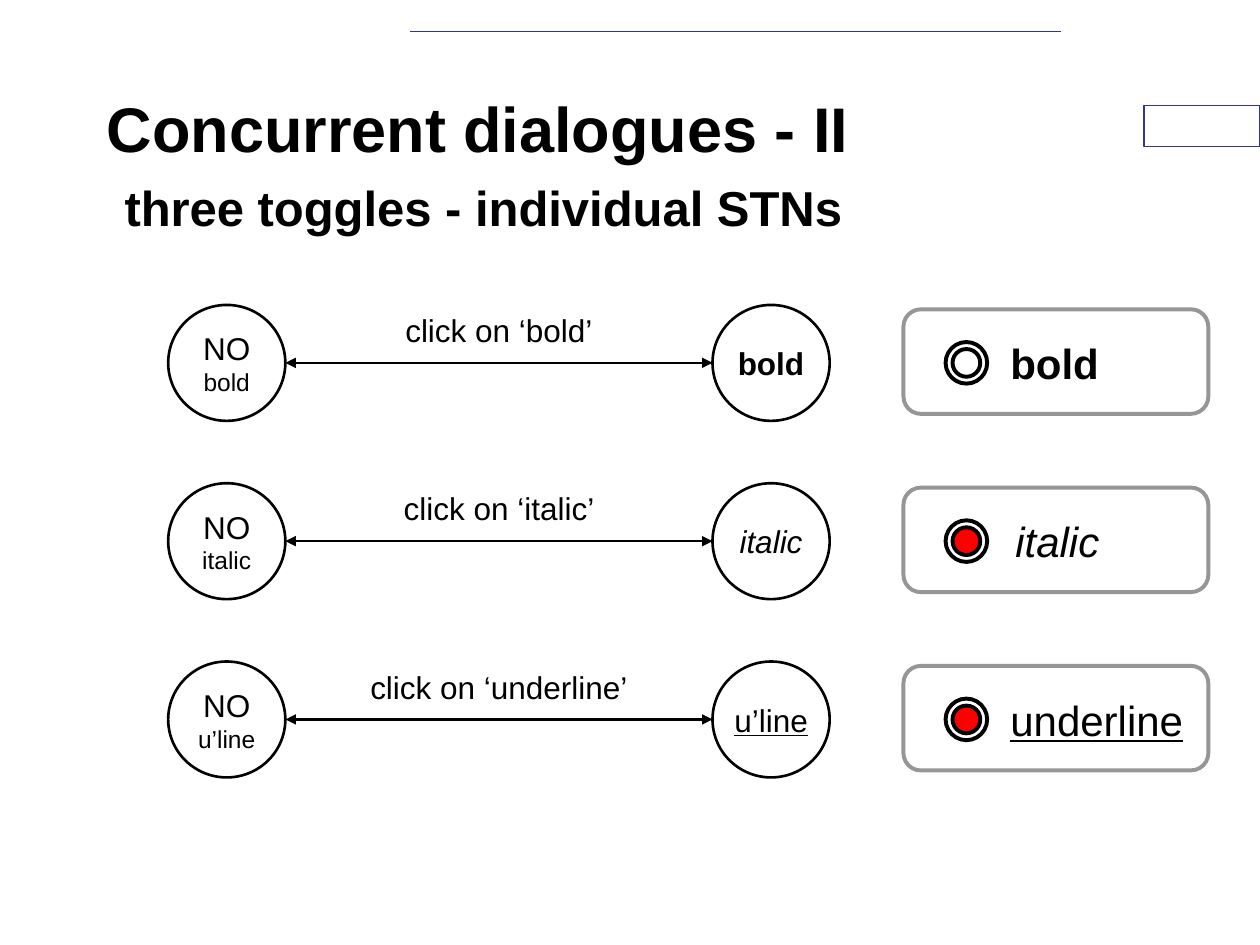
from dataclasses import dataclass

from lxml.etree import SubElement
from pptx import Presentation
from pptx.dml.color import RGBColor
from pptx.enum.shapes import MSO_CONNECTOR, MSO_SHAPE
from pptx.enum.text import MSO_ANCHOR, PP_ALIGN
from pptx.oxml.ns import qn
from pptx.util import Inches, Pt


@dataclass(frozen=True)
class Theme:
    font: str = "Arial"
    ink: str = "000000"
    paper: str = "FFFFFF"
    accent: str = "333399"
    card_edge: str = "969696"
    selected: str = "FF0000"
    title: int = 36
    subtitle: int = 28
    option: int = 24
    body: int = 18
    small: int = 14


THEME = Theme()

TITLE = "Concurrent dialogues - II"
SUBTITLE = "three toggles - individual STNs"
# Widths and lefts in inches belong to the text boxes fitted around the words.
TOGGLES = [
    {"state": "bold", "option": "bold", "style": {"bold": True}, "radio": THEME.paper,
     "event_width": 1.69, "option_left": 7.92, "option_width": 0.9},
    {"state": "italic", "option": "italic", "style": {"italic": True}, "radio": THEME.selected,
     "event_width": 1.72, "option_left": 7.96, "option_width": 0.87},
    {"state": "u’line", "option": "underline", "style": {"underline": True}, "radio": THEME.selected,
     "event_width": 2.24, "option_left": 7.92, "option_width": 1.58},
]

FIRST_ROW, ROW_PITCH = 2.88, 1.415
OFF_CENTER, ON_CENTER = 1.8, 6.12
EVENT_CENTER = 3.96
STATE_SIZE = (0.93, 0.92)
CARD_CENTER, CARD_SIZE = 8.38, (2.42, 0.83)
RADIO_CENTER = 7.67


def add_text(frame, text, size=THEME.body, align=PP_ALIGN.LEFT, first=True,
             before=0, indent=0, bold=False, italic=False, underline=False):
    """Write one paragraph, reusing the frame's empty one when it is the first."""
    paragraph = frame.paragraphs[0] if first else frame.add_paragraph()
    paragraph.alignment = align
    if before:
        paragraph.space_before = Pt(before)
    if indent:
        paragraph._p.get_or_add_pPr().set("marL", str(Inches(indent)))
    run = paragraph.add_run()
    run.text = text
    font = run.font
    font.name, font.size = THEME.font, Pt(size)
    font.bold, font.italic, font.underline = bold, italic, underline
    font.color.rgb = RGBColor.from_string(THEME.ink)


def add_text_box(slide, left, top, width, height, wrap=False, anchor=MSO_ANCHOR.TOP):
    box = slide.shapes.add_textbox(Inches(left), Inches(top), Inches(width), Inches(height))
    frame = box.text_frame
    frame.word_wrap = wrap
    frame.vertical_anchor = anchor
    return frame


def add_centered_shape(slide, kind, x, y, size, fill=THEME.paper, line=THEME.ink, weight=1.5):
    width, height = size
    shape = slide.shapes.add_shape(kind, Inches(x - width / 2), Inches(y - height / 2),
                                   Inches(width), Inches(height))
    shape.shadow.inherit = False
    shape.fill.solid()
    shape.fill.fore_color.rgb = RGBColor.from_string(fill)
    shape.line.color.rgb = RGBColor.from_string(line)
    shape.line.width = Pt(weight)
    return shape


def add_line(slide, start, end, y, color=THEME.ink, weight=1.5, arrows=False):
    connector = slide.shapes.add_connector(MSO_CONNECTOR.STRAIGHT, Inches(start), Inches(y),
                                           Inches(end), Inches(y))
    connector.line.color.rgb = RGBColor.from_string(color)
    connector.line.width = Pt(weight)
    if arrows:
        outline = connector.line._get_or_add_ln()
        for tag in ("a:headEnd", "a:tailEnd"):
            SubElement(outline, qn(tag), type="triangle")
    SubElement(connector._element.spPr, qn("a:effectLst"))


def add_state(slide, x, y):
    circle = add_centered_shape(slide, MSO_SHAPE.OVAL, x, y, STATE_SIZE)
    frame = circle.text_frame
    frame.word_wrap = False
    frame.vertical_anchor = MSO_ANCHOR.MIDDLE
    return frame


def add_header(slide):
    add_centered_shape(slide, MSO_SHAPE.RECTANGLE, 9.54, 1, (0.92, 0.33),
                       line=THEME.accent, weight=0.75)
    add_line(slide, 3.25, 8.42, 0.25, color=THEME.accent, weight=1)
    frame = add_text_box(slide, 0.75, 0.67, 7.5, 1.25, wrap=True, anchor=MSO_ANCHOR.MIDDLE)
    add_text(frame, TITLE, size=THEME.title, bold=True)
    add_text(frame, SUBTITLE, size=THEME.subtitle, bold=True, first=False, before=7, indent=0.14)


def add_option_card(slide, toggle, y):
    add_centered_shape(slide, MSO_SHAPE.ROUNDED_RECTANGLE, CARD_CENTER, y - 0.01, CARD_SIZE,
                       line=THEME.card_edge, weight=2.25)
    for size, fill in ((0.33, THEME.paper), (0.22, toggle["radio"])):
        add_centered_shape(slide, MSO_SHAPE.OVAL, RADIO_CENTER, y, (size, size),
                           fill=fill, weight=2.25)
    frame = add_text_box(slide, toggle["option_left"], y - 0.25, toggle["option_width"], 0.5)
    add_text(frame, toggle["option"], size=THEME.option, **toggle["style"])


def add_transition(slide, toggle, y):
    off_state = add_state(slide, OFF_CENTER, y)
    add_text(off_state, "NO", align=PP_ALIGN.CENTER)
    add_text(off_state, toggle["state"], size=THEME.small, align=PP_ALIGN.CENTER, first=False)
    on_state = add_state(slide, ON_CENTER, y)
    add_text(on_state, toggle["state"], align=PP_ALIGN.CENTER, **toggle["style"])
    radius = STATE_SIZE[0] / 2
    add_line(slide, OFF_CENTER + radius, ON_CENTER - radius, y, arrows=True)
    width = toggle["event_width"]
    event = add_text_box(slide, EVENT_CENTER - width / 2, y - 0.46, width, 0.4)
    add_text(event, f"click on ‘{toggle['option']}’", align=PP_ALIGN.CENTER)


def main():
    presentation = Presentation()
    presentation.slide_width, presentation.slide_height = Inches(10), Inches(7.5)
    slide = presentation.slides.add_slide(presentation.slide_layouts[6])
    add_header(slide)
    for row, toggle in enumerate(TOGGLES):
        y = FIRST_ROW + row * ROW_PITCH
        add_option_card(slide, toggle, y)
        add_transition(slide, toggle, y)
    presentation.save("out.pptx")


if __name__ == "__main__":
    main()
